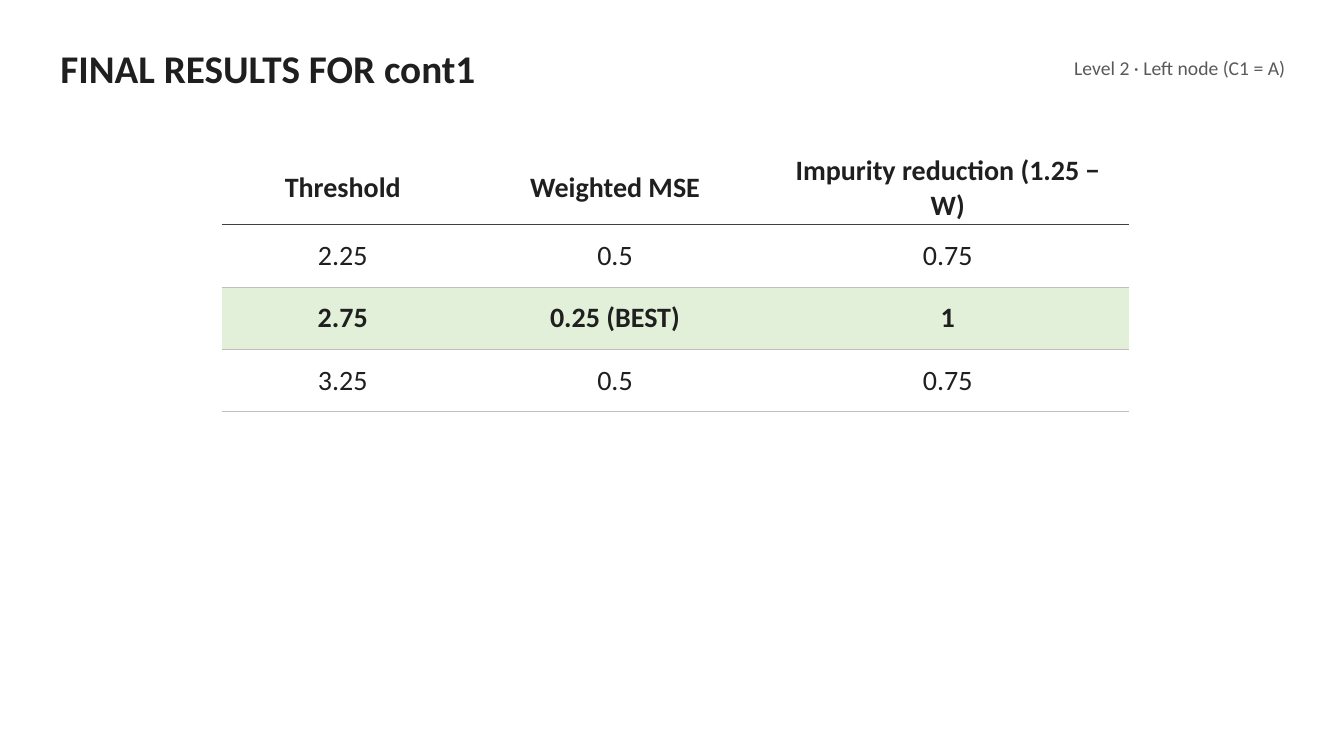
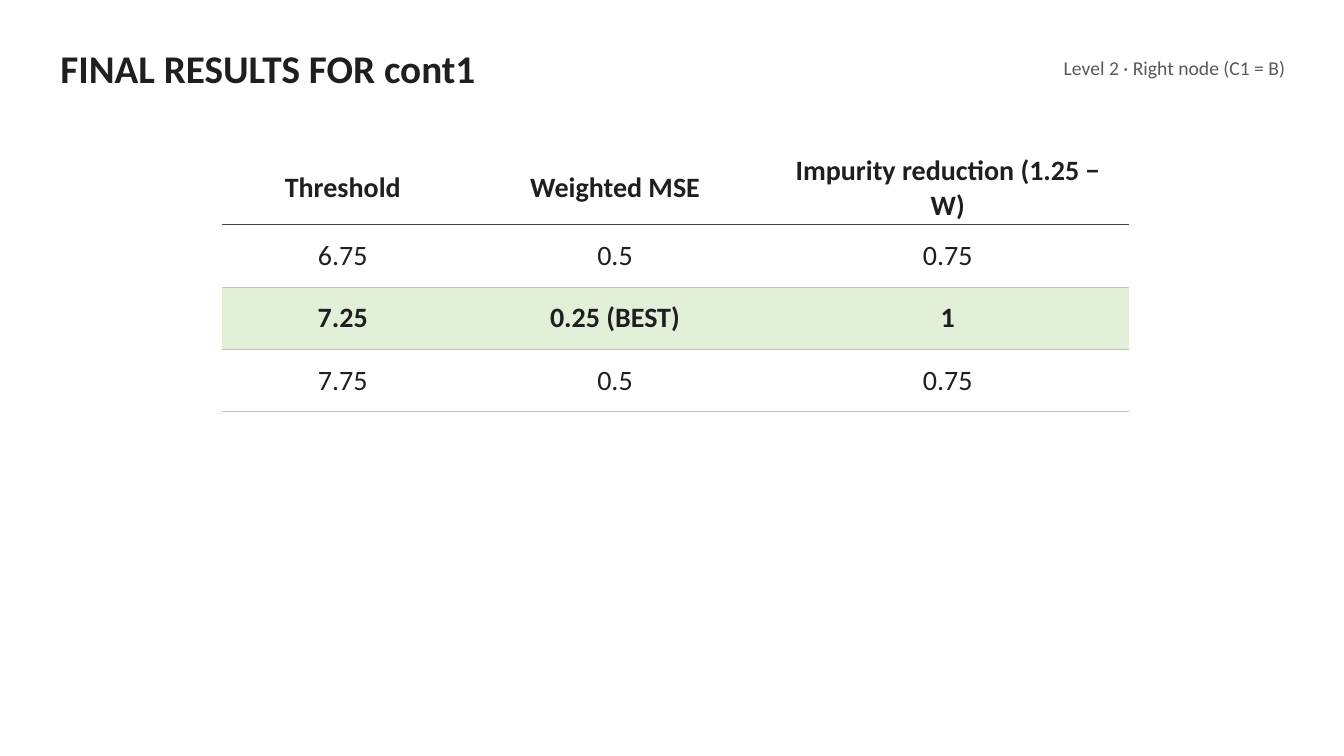
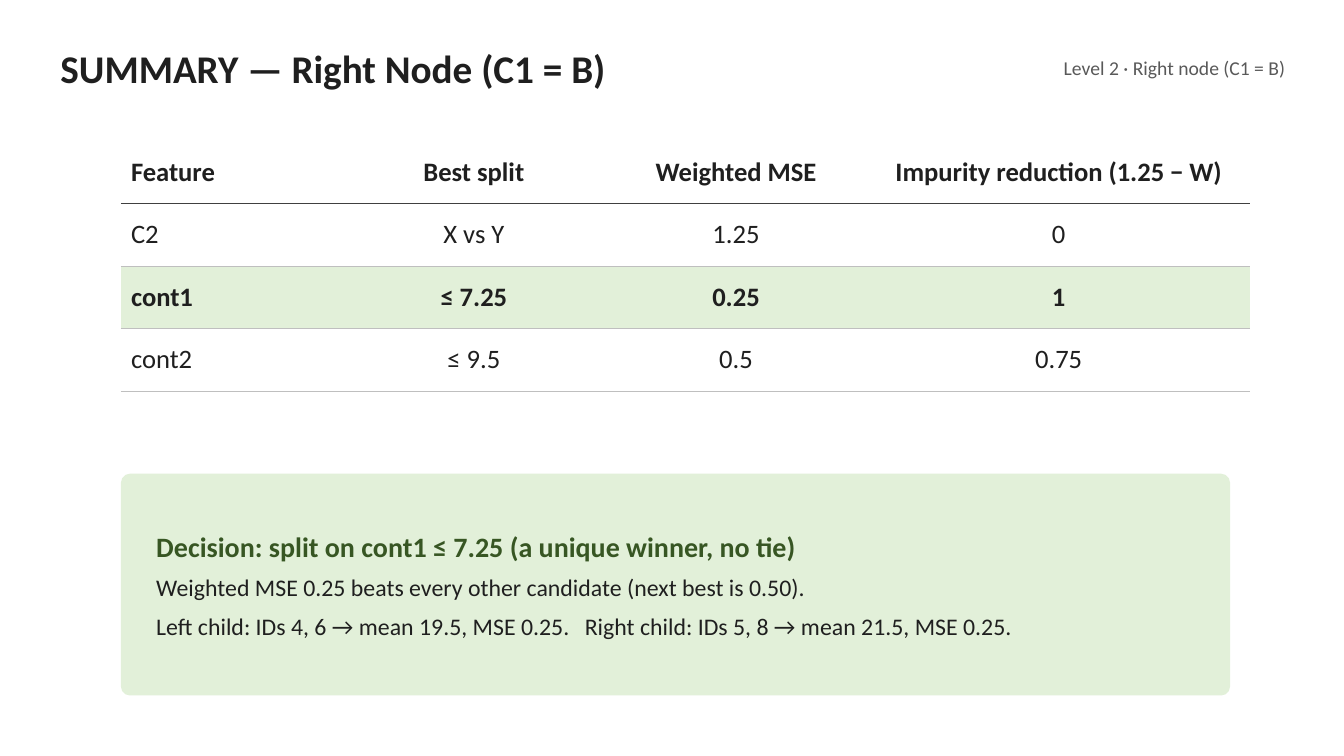
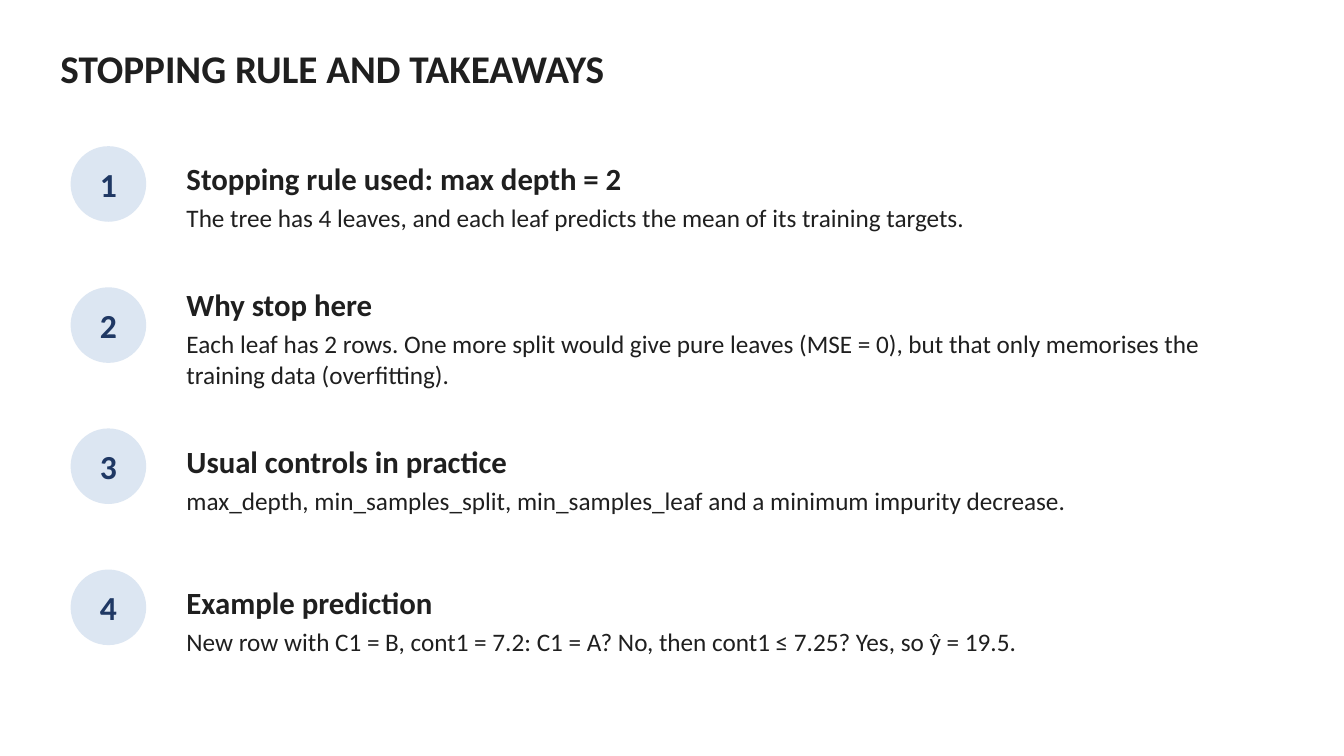
"""Build four slides on the last splits and the stopping rule of a regression tree."""
import dataclasses
import typing

import pptx
import pptx.dml.color
import pptx.enum.shapes
import pptx.enum.text
import pptx.oxml
import pptx.oxml.ns
import pptx.shapes.autoshape
import pptx.slide
import pptx.text.text
import pptx.util

Inches = pptx.util.Inches
ALIGN = pptx.enum.text.PP_ALIGN
SHAPE = pptx.enum.shapes.MSO_SHAPE


@dataclasses.dataclass(frozen=True)
class Theme:
    face: str = "Calibri"
    ink: str = "1F1F1F"
    gray: str = "595959"
    green: str = "E2F0D9"
    leaf: str = "375623"
    pale: str = "DCE6F2"
    navy: str = "1F3864"
    rule: str = "404040"
    grid: str = "BFBFBF"
    title: int = 28
    tag: int = 14
    cell: int = 20
    small: int = 19
    badge: int = 24
    head: int = 22
    body: int = 18
    lead: int = 20
    note: int = 17


THEME = Theme()
PLAIN = "{2D5ABB26-0587-4C30-8999-92F81FD0307C}"


class Box(typing.NamedTuple):
    left: float
    top: float
    width: float
    height: float

    def place(self) -> tuple:
        return tuple(Inches(side) for side in self)


class Line(typing.NamedTuple):
    text: str
    size: int
    color: str = THEME.ink
    bold: bool = False
    align: ALIGN = ALIGN.LEFT
    after: typing.Optional[int] = None
    tab: typing.Optional[float] = None


class Grid(typing.NamedTuple):
    left: float
    top: float
    cols: tuple
    rows: tuple
    size: int
    best: int = 2
    first: ALIGN = ALIGN.CENTER


class Point(typing.NamedTuple):
    head: str
    body: str


def color(code: str) -> pptx.dml.color.RGBColor:
    return pptx.dml.color.RGBColor.from_string(code)


def write(frame: pptx.text.text.TextFrame, lines: typing.Sequence[Line]) -> None:
    for num, line in enumerate(lines):
        para = frame.add_paragraph() if num else frame.paragraphs[0]
        para.text = line.text
        para.alignment = line.align
        if line.after is not None:
            para.space_after = pptx.util.Pt(line.after)
        if line.tab is not None:
            para._p.get_or_add_pPr().append(pptx.oxml.parse_xml(
                f'<a:tabLst {pptx.oxml.ns.nsdecls("a")}>'
                f'<a:tab pos="{Inches(line.tab)}" algn="l"/></a:tabLst>'))
        font = para.font
        font.name = THEME.face
        font.size = pptx.util.Pt(line.size)
        font.bold = line.bold
        font.color.rgb = color(line.color)


def pad(frame: pptx.text.text.TextFrame, side: float, edge: float) -> None:
    frame.margin_left = frame.margin_right = Inches(side)
    frame.margin_top = frame.margin_bottom = Inches(edge)
    frame.vertical_anchor = pptx.enum.text.MSO_ANCHOR.MIDDLE


def add_text(slide: pptx.slide.Slide, box: Box, *lines: Line) -> None:
    frame = slide.shapes.add_textbox(*box.place()).text_frame
    frame.word_wrap = True
    frame.auto_size = pptx.enum.text.MSO_AUTO_SIZE.SHAPE_TO_FIT_TEXT
    pad(frame, 0.05, 0.03)
    write(frame, lines)


def add_form(slide: pptx.slide.Slide, kind: SHAPE, box: Box,
             fill: str) -> pptx.shapes.autoshape.Shape:
    form = slide.shapes.add_shape(kind, *box.place())
    form.shadow.inherit = False
    form.fill.solid()
    form.fill.fore_color.rgb = color(fill)
    form.line.fill.background()
    return form


def add_table(slide: pptx.slide.Slide, grid: Grid) -> None:
    box = Box(grid.left, grid.top, sum(grid.cols), 0.62 * len(grid.rows))
    frame = slide.shapes.add_table(len(grid.rows), len(grid.cols), *box.place())
    frame.element.find(".//" + pptx.oxml.ns.qn("a:tableStyleId")).text = PLAIN
    table = frame.table
    table.horz_banding = False
    for col, width in zip(table.columns, grid.cols):
        col.width = Inches(width)
    for row, words in enumerate(grid.rows):
        for col, word in enumerate(words):
            cell = table.cell(row, col)
            pad(cell, 0.1, 0.03)
            write(cell.text_frame, [Line(
                word, grid.size, bold=row in (0, grid.best),
                align=ALIGN.CENTER if col else grid.first)])
            if row == grid.best:
                cell.fill.solid()
                cell.fill.fore_color.rgb = color(THEME.green)
            else:
                cell.fill.background()
            width, ink = (0.75, THEME.grid) if row else (1.5, THEME.rule)
            cell._tc.get_or_add_tcPr().insert(0, pptx.oxml.parse_xml(
                f'<a:lnB {pptx.oxml.ns.nsdecls("a")} w="{pptx.util.Pt(width)}">'
                f'<a:solidFill><a:srgbClr val="{ink}"/></a:solidFill></a:lnB>'))


def add_slide(deck: pptx.presentation.Presentation, title: str,
              tag: str = "") -> pptx.slide.Slide:
    slide = deck.slides.add_slide(deck.slide_layouts[6])
    add_text(slide, Box(0.55, 0.3, 9 if tag else 12.2, 0.75),
             Line(title, THEME.title, bold=True, after=4))
    if tag:
        add_text(slide, Box(8.9, 0.42, 3.9, 0.5),
                 Line(tag, THEME.tag, THEME.gray, align=ALIGN.RIGHT, after=4))
    return slide


def add_point(slide: pptx.slide.Slide, num: int, point: Point) -> None:
    top = 1.35 + 1.4 * num
    badge = add_form(slide, SHAPE.OVAL, Box(0.7, top + 0.1, 0.75, 0.75), THEME.pale)
    pad(badge.text_frame, 0, 0.05)
    write(badge.text_frame, [Line(str(num + 1), THEME.badge, THEME.navy, True, ALIGN.CENTER)])
    add_text(slide, Box(1.8, top, 10.9, 1.2),
             Line(point.head, THEME.head, bold=True, after=4),
             Line(point.body, THEME.body, after=4))


LEFT = "Level 2 · Left node (C1 = A)"
RIGHT = "Level 2 · Right node (C1 = B)"
GAIN = "Impurity reduction (1.25 − W)"
FINALS = (
    (LEFT, ("2.25", "2.75", "3.25")),
    (RIGHT, ("6.75", "7.25", "7.75")),
)
SCORES = (("0.5", "0.75"), ("0.25 (BEST)", "1"), ("0.5", "0.75"))
SUMMARY = (
    ("Feature", "Best split", "Weighted MSE", GAIN),
    ("C2", "X vs Y", "1.25", "0"),
    ("cont1", "≤ 7.25", "0.25", "1"),
    ("cont2", "≤ 9.5", "0.5", "0.75"),
)
POINTS = (
    Point("Stopping rule used: max depth = 2",
          "The tree has 4 leaves, and each leaf predicts the mean of its training targets."),
    Point("Why stop here",
          "Each leaf has 2 rows. One more split would give pure leaves (MSE = 0), "
          "but that only memorises the training data (overfitting)."),
    Point("Usual controls in practice",
          "max_depth, min_samples_split, min_samples_leaf and a minimum impurity decrease."),
    Point("Example prediction",
          "New row with C1 = B, cont1 = 7.2: C1 = A? No, then cont1 ≤ 7.25? Yes, so ŷ = 19.5."),
)


def main() -> None:
    deck = pptx.Presentation()
    deck.slide_width, deck.slide_height = Inches(13.33), Inches(7.5)

    for tag, cuts in FINALS:
        slide = add_slide(deck, "FINAL RESULTS FOR cont1", tag)
        rows = tuple((cut, *score) for cut, score in zip(cuts, SCORES))
        add_table(slide, Grid(2.2, 1.5, (2.4, 3, 3.6),
                              (("Threshold", "Weighted MSE", GAIN), *rows), THEME.cell))

    slide = add_slide(deck, "SUMMARY — Right Node (C1 = B)", RIGHT)
    add_table(slide, Grid(1.2, 1.4, (2.2, 2.6, 2.6, 3.8), SUMMARY,
                          THEME.small, first=ALIGN.LEFT))
    panel = add_form(slide, SHAPE.ROUNDED_RECTANGLE, Box(1.2, 4.7, 11, 2.2), THEME.green)
    panel.adjustments[0] = 0.04
    add_text(slide, Box(1.5, 4.8, 10.4, 2),
             Line("Decision: split on cont1 ≤ 7.25 (a unique winner, no tie)",
                  THEME.lead, THEME.leaf, True, after=7),
             Line("Weighted MSE 0.25 beats every other candidate (next best is 0.50).",
                  THEME.note, after=7),
             Line("Left child: IDs 4, 6 → mean 19.5, MSE 0.25.\t"
                  "Right child: IDs 5, 8 → mean 21.5, MSE 0.25.",
                  THEME.note, after=7, tab=4.25))

    slide = add_slide(deck, "STOPPING RULE AND TAKEAWAYS")
    for num, point in enumerate(POINTS):
        add_point(slide, num, point)

    deck.save("out.pptx")


if __name__ == "__main__":
    main()
